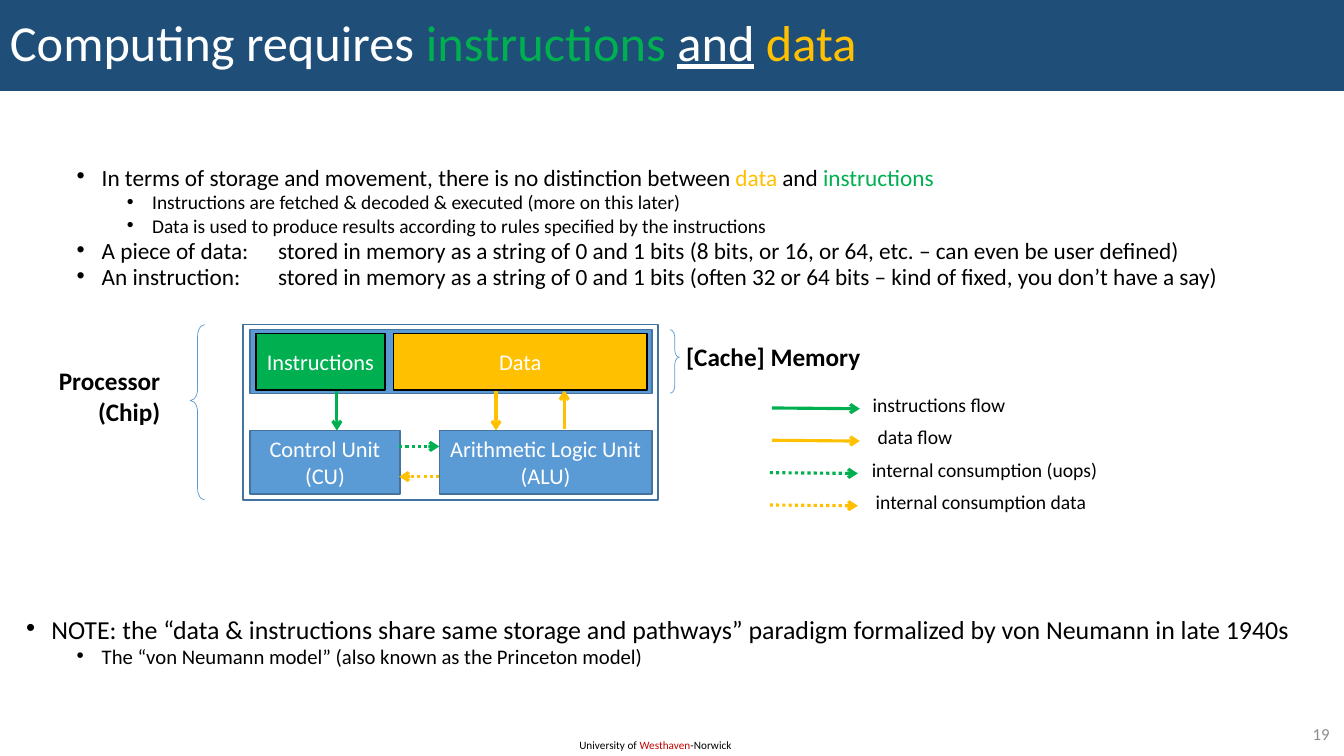
import pptx
import pptx.util
import pptx.dml.color
import pptx.enum.dml
import pptx.enum.shapes
import pptx.enum.text
import pptx.oxml
import pptx.oxml.ns

Cm, Pt = pptx.util.Cm, pptx.util.Pt
Form = pptx.enum.shapes.MSO_SHAPE
Align = pptx.enum.text.PP_ALIGN
Mid = pptx.enum.text.MSO_ANCHOR.MIDDLE
Grow = pptx.enum.text.MSO_AUTO_SIZE.SHAPE_TO_FIT_TEXT
GREEN, GOLD, BLACK, WHITE = "00B050", "FFC000", "000000", "FFFFFF"
BLUE, EDGE, NAVY, RED, GRAY = "5B9BD5", "43739E", "1F4E79", "C00000", "8C8C8C"


def hue(value):
    """Turn a hex string into a colour."""
    return pptx.dml.color.RGBColor.from_string(value)


def put(target, values):
    """Set each attribute named in the dict."""
    for name, value in values.items():
        setattr(target, name, value)


def node(parent, tag, **attrs):
    """Append a drawing element to the parent and return it."""
    child = pptx.oxml.parse_xml(f"<a:{tag} {pptx.oxml.ns.nsdecls('a')}/>")
    for name, value in attrs.items():
        child.set(name, str(value))
    parent.append(child)
    return child


def write(para, parts, size, color=BLACK, **style):
    """Add runs to a paragraph; a part is a text or a (text, colour, underline) tuple."""
    for part in [parts] if isinstance(parts, str) else parts:
        text, tint, under = part if isinstance(part, tuple) else (part, color, None)
        run = para.add_run()
        run.text = text
        put(run.font, {"name": "Calibri", "size": Pt(size), "underline": under, **style})
        run.font.color.rgb = hue(tint)


def fill(frame, lines, size, color=BLACK, align=Align.LEFT, **style):
    """Write one paragraph for each line of the frame."""
    for i, line in enumerate(lines):
        para = frame.add_paragraph() if i else frame.paragraphs[0]
        para.alignment = align
        write(para, line, size, color, **style)


def label(slide, box, lines, size, wrap=False, frame=None, **style):
    """Place a text box with its lines."""
    text = slide.shapes.add_textbox(*map(Cm, box)).text_frame
    put(text, {"word_wrap": wrap, "auto_size": Grow, **(frame or {})})
    fill(text, lines, size, **style)


def shape(slide, form, box, tint=None, edge=None, width=1):
    """Place a preset shape with its fill and outline."""
    item = slide.shapes.add_shape(form, *map(Cm, box))
    item.shadow.inherit = False
    if tint:
        item.fill.solid()
        item.fill.fore_color.rgb = hue(tint)
    else:
        item.fill.background()
    if edge:
        item.line.color.rgb = hue(edge)
        item.line.width = Pt(width)
    else:
        item.line.fill.background()
    return item


def block(slide, box, lines, tint, edge):
    """Place a filled rectangle with centred white text."""
    item = shape(slide, Form.RECTANGLE, box, tint, edge)
    item.text_frame.vertical_anchor = Mid
    fill(item.text_frame, lines, 16, WHITE, Align.CENTER)


def brace(slide, form, box, peak=0.433):
    """Place a thin curly brace."""
    item = shape(slide, form, box, None, BLUE, 0.5)
    item.adjustments[0] = 0.803
    item.adjustments[1] = peak


def arrow(slide, start, end, tint, dots=False):
    """Draw an arrow from start to end, dotted if asked."""
    item = slide.shapes.add_connector(
        pptx.enum.shapes.MSO_CONNECTOR.STRAIGHT, *map(Cm, start + end))
    item.line.color.rgb = hue(tint)
    item.line.width = Pt(2.25)
    if dots:
        item.line.dash_style = pptx.enum.dml.MSO_LINE.ROUND_DOT
    node(item.line._get_or_add_ln(), "tailEnd", type="arrow")
    node(item._element.spPr, "effectLst")


def title(slide, x, y, w, h):
    """Draw the title band."""
    band = shape(slide, Form.RECTANGLE, (x, y, w, h), NAVY)
    band.text_frame.vertical_anchor = Mid
    fill(band.text_frame, [["Computing requires", (" instructions ", GREEN, None),
                            ("and", WHITE, True), " ", ("data", GOLD, None)]], 36, WHITE)
    band.text_frame.paragraphs[0].line_spacing = 0.9


def points(slide, x, y, w, h, rows):
    """Draw a bulleted list of (level, size, parts) rows."""
    frame = slide.shapes.add_textbox(*map(Cm, (x, y, w, h))).text_frame
    frame.word_wrap = True
    for i, (level, size, parts) in enumerate(rows):
        para = frame.add_paragraph() if i else frame.paragraphs[0]
        put(para, {"level": level, "line_spacing": 0.7, "space_before": Pt(5 if i else 0)})
        props = para._p.get_or_add_pPr()
        props.set("marL", str(Cm(0.635 + 1.27 * level)))
        props.set("indent", str(-Cm(0.635)))
        node(props, "buFont", typeface="Arial")
        node(props, "buChar", char="•")
        if "\t" in parts:
            node(node(props, "tabLst"), "tab", pos=Cm(6.35), algn="l")
        write(para, parts, size)


def chip(slide, x, y, w, h):
    """Draw the processor with its memory, units, flows and braces."""
    shape(slide, Form.RECTANGLE, (x, y, w, h), None, EDGE)
    shape(slide, Form.RECTANGLE, (x + 0.18, y + 0.13, w - 0.33, 1.6), BLUE, EDGE)
    low = y + 2.67
    block(slide, (x + 0.18, low, 3.78, 1.6), ["Control Unit", "(CU)"], BLUE, EDGE)
    block(slide, (x + 4.95, low, 5.36, 1.6), ["Arithmetic Logic Unit", "(ALU)"], BLUE, EDGE)
    for x1, y1, x2, y2, tint, dots in [
            (2.37, 1.65, 2.37, 2.67, GREEN, False), (6.38, 1.65, 6.38, 2.67, GOLD, False),
            (8.1, 2.62, 8.1, 1.65, GOLD, False), (3.94, 3.07, 4.95, 3.07, GREEN, True),
            (4.95, 3.83, 3.94, 3.83, GOLD, True)]:
        arrow(slide, (x + x1, y + y1), (x + x2, y + y2), tint, dots)
    block(slide, (x + 0.33, y + 0.23, 3.25, 1.42), ["Instructions"], GREEN, BLACK)
    block(slide, (x + 3.79, y + 0.23, 6.4, 1.42), ["Data"], GOLD, BLACK)
    brace(slide, Form.RIGHT_BRACE, (x + w + 0.31, y + 0.13, 0.23, 1.6))
    brace(slide, Form.LEFT_BRACE, (x - 1.32, y, 0.36, h))
    label(slide, (x + w + 0.46, y + 0.3, 4.95, 1.02), ["[Cache] Memory"], 18, bold=True)
    label(slide, (x - 4.9, y + 0.91, 3.07, 1.8), ["Processor", "(Chip)"], 18,
          align=Align.RIGHT, bold=True)


def legend(slide, x, y, w, h):
    """Draw the key of the four arrow kinds in equal rows."""
    rows = [("instructions flow", GREEN, False, 0.05, 2.34),
            ("data flow", GOLD, False, 0.05, 2.47),
            ("internal consumption (uops)", GREEN, True, 0, 2.32),
            ("internal consumption data", GOLD, True, 0, 2.42)]
    step = h / len(rows)
    for i, (text, tint, dots, shift, left) in enumerate(rows):
        top = y + i * step
        arrow(slide, (x + shift, top + 0.5), (x + shift + 2.22, top + 0.52), tint, dots)
        label(slide, (x + left, top, w - left, 0.86), [text], 14)


def foot(slide, x, y, w, h):
    """Draw the footer line and the page number."""
    label(slide, (x + 14.35, y + 0.38, 4.37, 0.6),
          [["University of ", ("Westhaven", RED, None), "-Norwick"]], 8)
    label(slide, (x + w - 2.04, y, 1.93, 0.74), ["19"], 12, True,
          {"vertical_anchor": Mid}, color=GRAY, align=Align.RIGHT)


def main():
    """Build the slide and save it."""
    deck = pptx.Presentation()
    put(deck, {"slide_width": Cm(33.87), "slide_height": Cm(19.05)})
    slide = deck.slides.add_slide(deck.slide_layouts[6])
    foot(slide, 0, 18.11, 33.87, 0.94)
    title(slide, 0, 0, 33.87, 2.29)
    points(slide, 0.41, 4.17, 33.22, 3.5, [
        (1, 16.6, ["In terms of storage and movement, there is no distinction between ",
                   ("data", GOLD, None), " and ", ("instructions", GREEN, None)]),
        (2, 13.9, "Instructions are fetched & decoded & executed (more on this later)"),
        (2, 13.9, "Data is used to produce results according to rules specified by the "
                  "instructions"),
        (1, 16.6, "A piece of data:\tstored in memory as a string of 0 and 1 bits "
                  "(8 bits, or 16, or 64, etc. – can even be user defined)"),
        (1, 16.6, "An instruction:\tstored in memory as a string of 0 and 1 bits "
                  "(often 32 or 64 bits – kind of fixed, you don’t have a say)")])
    points(slide, 0.41, 15.54, 33.22, 1.6, [
        (0, 18.5, "NOTE: the “data & instructions share same storage and pathways” "
                  "paradigm formalized by von Neumann in late 1940s"),
        (1, 14.8, "The “von Neumann model” (also known as the Princeton model)")])
    chip(slide, 6.12, 8.18, 10.46, 4.42)
    legend(slide, 19.4, 9.78, 8.8, 3.26)
    deck.save("out.pptx")


if __name__ == "__main__":
    main()
